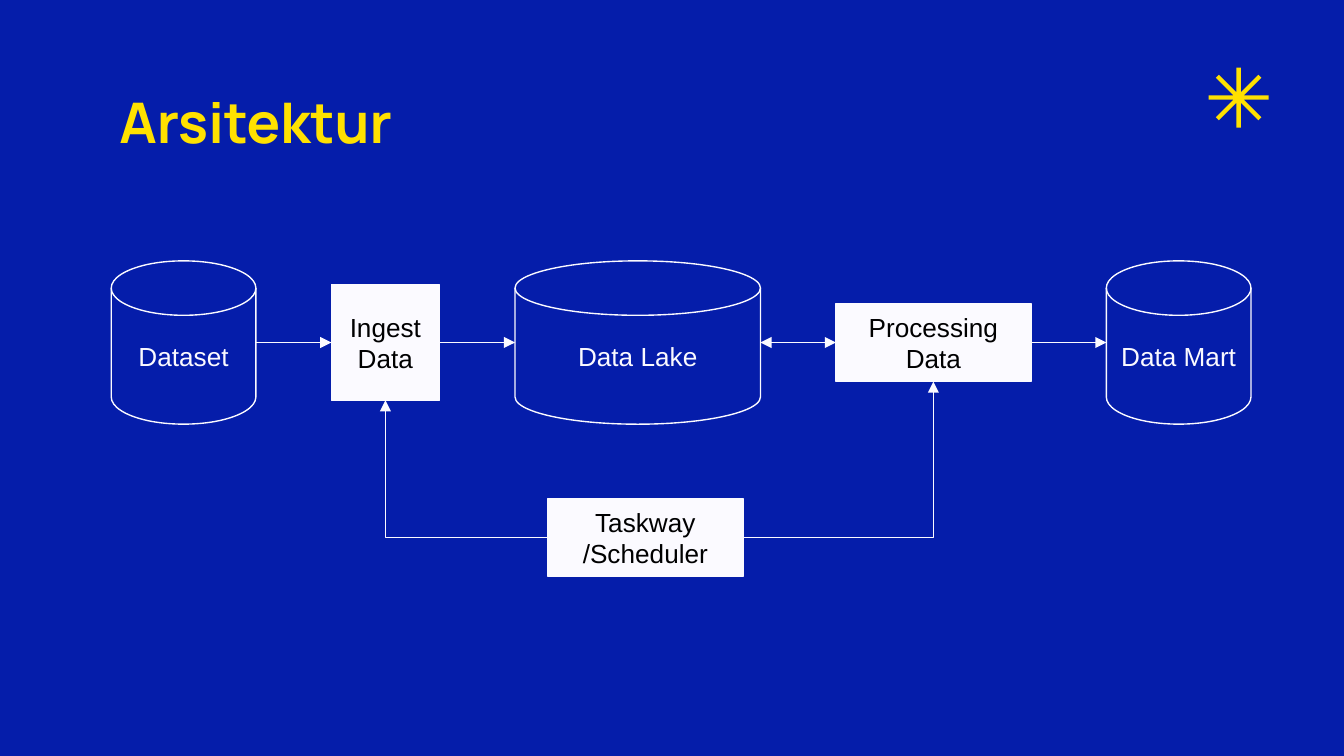
import math
import pptx
import pptx.util
import pptx.dml.color
import pptx.enum.shapes
import pptx.enum.text
import pptx.oxml

Pt = pptx.util.Pt
RGB = pptx.dml.color.RGBColor
BLUE = RGB(0x05, 0x1D, 0xAA)
GOLD = RGB(0xFF, 0xE1, 0x00)
PALE = RGB(0xFB, 0xFA, 0xFF)
BLACK = RGB(0x00, 0x00, 0x00)
KIND = pptx.enum.shapes.MSO_SHAPE
LINK = pptx.enum.shapes.MSO_CONNECTOR
ALIGN = pptx.enum.text.PP_ALIGN
NS = 'xmlns:a="http://schemas.openxmlformats.org/drawingml/2006/main"'


def write(shape, text, align, color, font):
    frame = shape.text_frame
    frame.text = text
    form = dict(word_wrap=True, vertical_anchor=pptx.enum.text.MSO_ANCHOR.MIDDLE,
                auto_size=pptx.enum.text.MSO_AUTO_SIZE.NONE)
    for side in ("left", "top", "right", "bottom"):
        form["margin_" + side] = Pt(7.2)
    for key, val in form.items():
        setattr(frame, key, val)
    for para in frame.paragraphs:
        para.alignment = align
        for run in para.runs:
            run.font.color.rgb = color
            for key, val in font.items():
                setattr(run.font, key, val)


def link(kind, start, end, ends):
    wire = slide.shapes.add_connector(kind, *map(Pt, start + end))
    wire.line.color.rgb = PALE
    wire.line.width = Pt(0.75)
    for tag in ends:
        wire.line._get_or_add_ln().append(
            pptx.oxml.parse_xml(f'<a:{tag} {NS} type="triangle"/>'))
    wire._element.spPr.append(pptx.oxml.parse_xml(f"<a:effectLst {NS}/>"))
    return wire


deck = pptx.Presentation()
deck.slide_width, deck.slide_height = Pt(720), Pt(405)
slide = deck.slides.add_slide(deck.slide_layouts[5])
slide.background.fill.solid()
slide.background.fill.fore_color.rgb = BLUE

title = slide.shapes.title
place = dict(left=Pt(56.7), top=Pt(42.5), width=Pt(607), height=Pt(45))
for key, val in place.items():
    setattr(title, key, val)
write(title, "Arsitektur", ALIGN.LEFT, GOLD,
      dict(name="Manrope", size=Pt(30), bold=True))

half, reach = 1.15, 16.1
turn = math.pi / 8
tilt = math.atan2(half, reach)
tip = math.hypot(half, reach)
notch = half / math.sin(turn)
dots = []
for arm in range(8):
    mid = arm * 2 * turn
    for dist, ang in ((tip, mid - tilt), (tip, mid + tilt), (notch, mid + turn)):
        dots.append((Pt(663.6 + dist * math.cos(ang)), Pt(52.3 + dist * math.sin(ang))))
pen = slide.shapes.build_freeform(*dots[0], scale=1)
pen.add_line_segments(dots[1:], close=True)
star = pen.convert_to_shape()
star.shadow.inherit = False
star.fill.solid()
star.fill.fore_color.rgb = GOLD
star.line.fill.background()

axis, low, gap = 183.5, 288, 40.4
DISK, BOX = KIND.FLOWCHART_MAGNETIC_DISK, KIND.RECTANGLE
row = [
    (DISK, "Dataset", 77.5, 87.5),
    (BOX, "Ingest Data", 58, 62),
    (DISK, "Data Lake", 131.5, 87.5),
    (BOX, "Processing Data", 104.5, 42),
    (DISK, "Data Mart", 77.5, 87.5),
]
nodes = []
left = 59.6
for kind, text, wide, high in row:
    nodes.append((kind, text, left, axis, wide, high))
    left += wide + gap
nodes.append((BOX, "Taskway\n/Scheduler", 293.5, low, 104.5, 42))

for kind, text, left, mid, wide, high in nodes:
    node = slide.shapes.add_shape(kind, Pt(left), Pt(mid - high / 2), Pt(wide), Pt(high))
    node.shadow.inherit = False
    node.line.color.rgb = PALE
    node.line.width = Pt(0.75)
    if kind == BOX:
        node.fill.solid()
        node.fill.fore_color.rgb = PALE
    else:
        node.fill.background()
    write(node, text, ALIGN.CENTER, BLACK if kind == BOX else PALE,
          dict(name="Arial", size=Pt(14)))

for spot, node in enumerate(nodes[1:5]):
    ends = ("headEnd", "tailEnd") if spot == 2 else ("tailEnd",)
    link(LINK.STRAIGHT, (node[2] - gap, axis), (node[2], axis), ends)

plan = nodes[5]
for goal, start in ((nodes[1], plan[2]), (nodes[3], plan[2] + plan[4])):
    end = (goal[2] + goal[4] / 2, axis + goal[5] / 2)
    wire = link(LINK.ELBOW, (start, low), end, ("tailEnd",))
    wire._element.spPr.prstGeom.set("prst", "bentConnector2")

deck.save("out.pptx")
